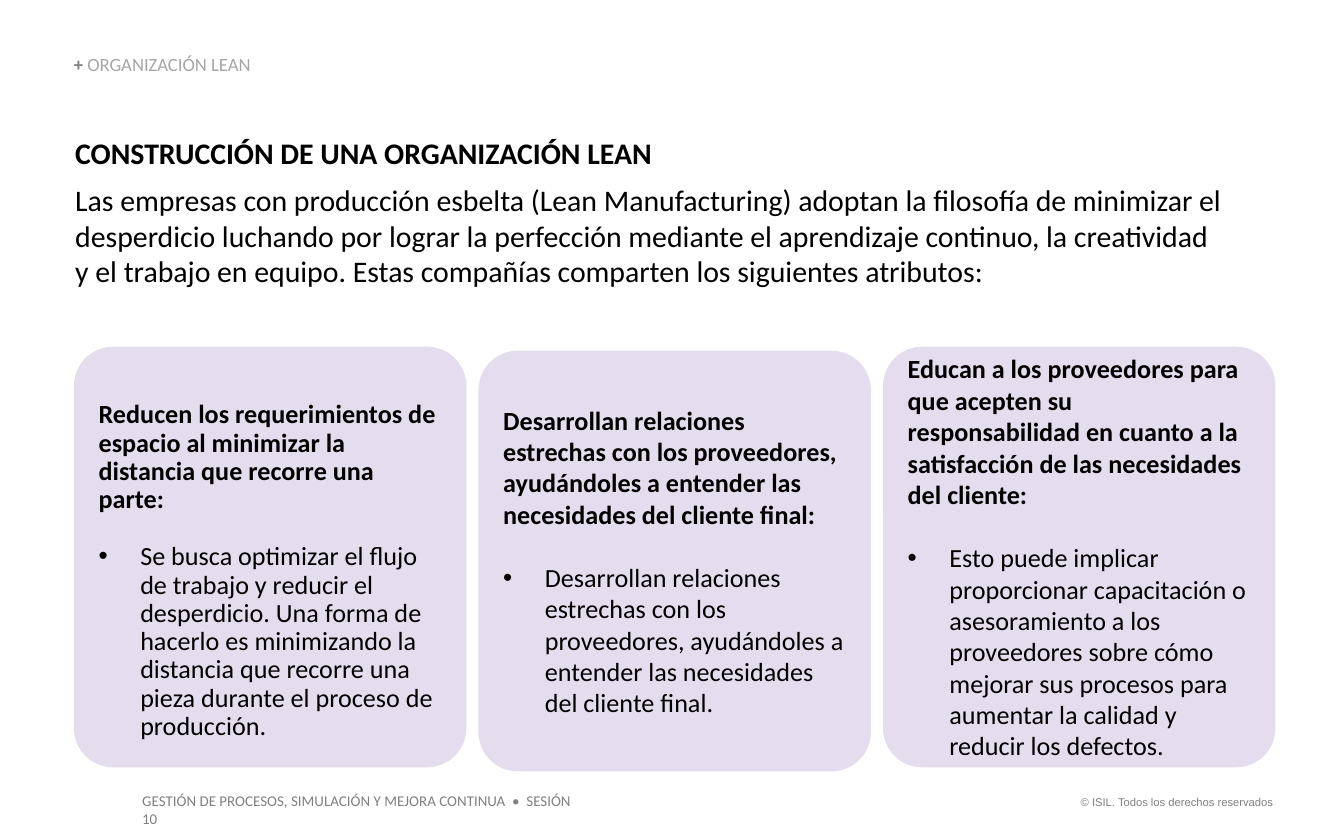
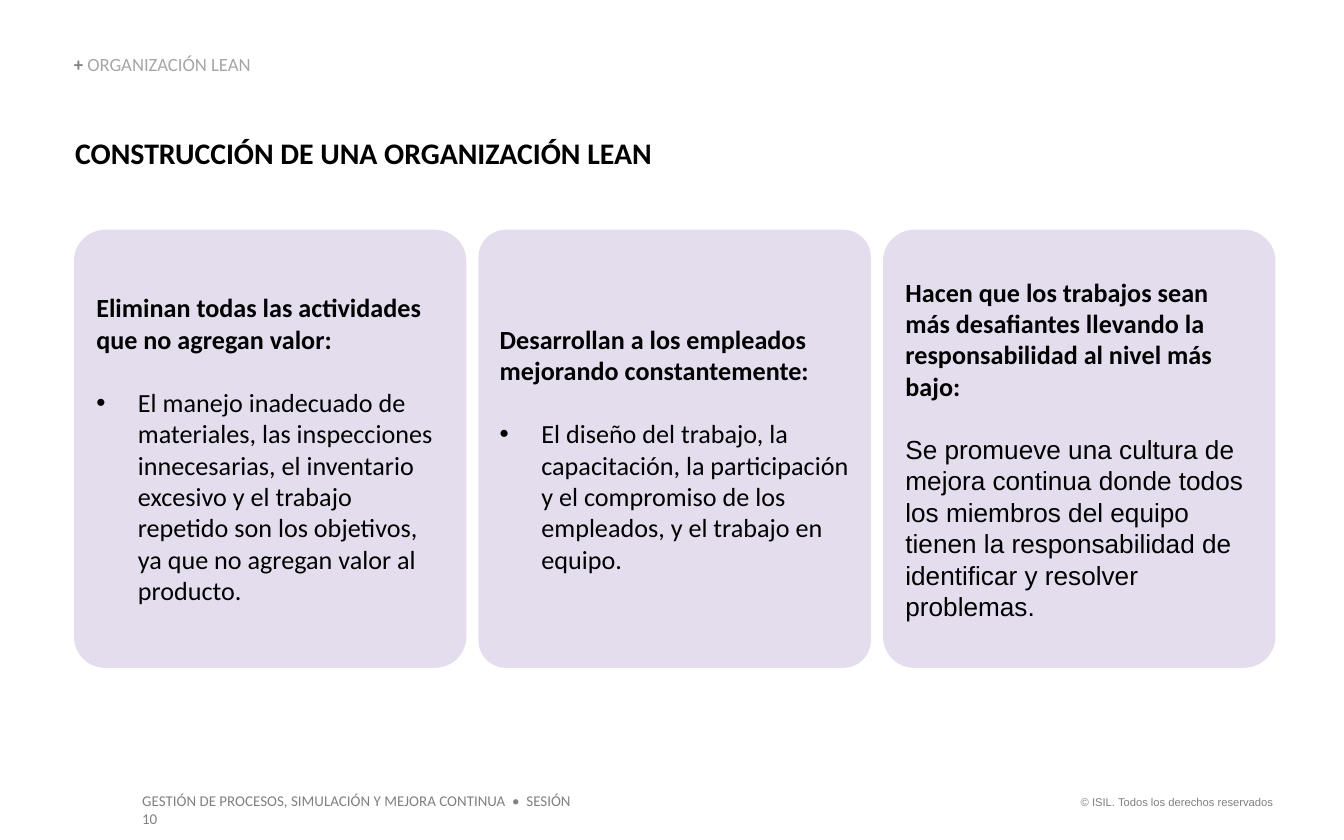
from dataclasses import dataclass

from lxml import etree
from pptx import Presentation
from pptx.dml.color import RGBColor
from pptx.enum.shapes import MSO_SHAPE
from pptx.enum.text import MSO_ANCHOR, MSO_AUTO_SIZE, PP_ALIGN
from pptx.oxml.ns import qn
from pptx.util import Inches, Pt


@dataclass(frozen=True)
class Theme:
    font: str = "Calibri"
    alt_font: str = "Arial"
    ink: str = "000000"
    muted: str = "808080"
    pale: str = "A6A6A6"
    card: str = "E4DDED"
    heading_size: int = 16
    card_size: int = 14
    section_size: int = 10
    footer_size: int = 8
    copyright_size: int = 6


THEME = Theme()

SECTION_BOX = (0.55, 0.41, 2.66, 0.15)
FOOTER_BOX = (0.96, 5.84, 3.53, 0.24)
COPYRIGHT_BOX = (7.88, 5.87, 1.69, 0.2)
CARD_LEFT, CARD_WIDTH, CARD_GAP = 0.55, 2.92, 0.09
BULLET_INDENT = 0.31
LINE_HEIGHT = 1.22


@dataclass(frozen=True)
class Card:
    attribute: str
    detail: str
    corner: float
    drop: float = 0
    line_spacing: float = 1.0
    extra_top: float = 0
    bulleted: bool = True
    detail_font: str = THEME.font


HEADING = "CONSTRUCCIÓN DE UNA ORGANIZACIÓN LEAN"
INTRO = (
    "Las empresas con producción esbelta (Lean Manufacturing) adoptan la filosofía de minimizar el "
    "desperdicio luchando por lograr la perfección mediante el aprendizaje continuo, la creatividad "
    "y el trabajo en equipo. Estas compañías comparten los siguientes atributos:"
)
SUPPLIER_CARDS = [
    Card(
        "Reducen los requerimientos de espacio al minimizar la distancia que recorre una parte:",
        "Se busca optimizar el flujo de trabajo y reducir el desperdicio. Una forma de hacerlo es "
        "minimizando la distancia que recorre una pieza durante el proceso de producción.",
        corner=0.1, line_spacing=0.9, extra_top=0.21,
    ),
    Card(
        "Desarrollan relaciones estrechas con los proveedores, ayudándoles a entender las "
        "necesidades del cliente final:",
        "Desarrollan relaciones estrechas con los proveedores, ayudándoles a entender las "
        "necesidades del cliente final.",
        corner=0.1, drop=0.03,
    ),
    Card(
        "Educan a los proveedores para que acepten su responsabilidad en cuanto a la satisfacción "
        "de las necesidades del cliente:",
        "Esto puede implicar proporcionar capacitación o asesoramiento a los proveedores sobre cómo "
        "mejorar sus procesos para aumentar la calidad y reducir los defectos.",
        corner=0.1,
    ),
]
EMPLOYEE_CARDS = [
    Card(
        "Eliminan todas las actividades que no agregan valor:",
        "El manejo inadecuado de materiales, las inspecciones innecesarias, el inventario excesivo y "
        "el trabajo repetido son los objetivos, ya que no agregan valor al producto.",
        corner=0.08,
    ),
    Card(
        "Desarrollan a los empleados mejorando constantemente:",
        "El diseño del trabajo, la capacitación, la participación y el compromiso de los empleados, "
        "y el trabajo en equipo.",
        corner=0.07,
    ),
    Card(
        "Hacen que los trabajos sean más desafiantes llevando la responsabilidad al nivel más bajo:",
        "Se promueve una cultura de mejora continua donde todos los miembros del equipo tienen la "
        "responsabilidad de identificar y resolver problemas.",
        corner=0.08, bulleted=False, detail_font=THEME.alt_font,
    ),
]


def add_run(paragraph, text, size, color=THEME.ink, bold=False, font=THEME.font):
    run = paragraph.add_run()
    run.text = text
    run.font.name = font
    run.font.size = Pt(size)
    run.font.bold = bold
    run.font.color.rgb = RGBColor.from_string(color)


def add_text_frame(slide, box, inset=True):
    frame = slide.shapes.add_textbox(*map(Inches, box)).text_frame
    frame.word_wrap = True
    frame.auto_size = MSO_AUTO_SIZE.SHAPE_TO_FIT_TEXT
    if not inset:
        frame.margin_left = frame.margin_right = frame.margin_top = frame.margin_bottom = 0
    return frame


def add_bullet(paragraph):
    properties = paragraph._p.get_or_add_pPr()
    properties.set("marL", str(Inches(BULLET_INDENT)))
    properties.set("indent", str(-Inches(BULLET_INDENT)))
    etree.SubElement(properties, qn("a:buFont")).set("typeface", THEME.alt_font)
    etree.SubElement(properties, qn("a:buChar")).set("char", "•")


def add_footer(slide):
    copyright_line = add_text_frame(slide, COPYRIGHT_BOX).paragraphs[0]
    copyright_line.alignment = PP_ALIGN.RIGHT
    add_run(copyright_line, "© ISIL. Todos los derechos reservados",
            THEME.copyright_size, THEME.muted, font=THEME.alt_font)
    course = add_text_frame(slide, FOOTER_BOX).paragraphs[0]
    add_run(course, "GESTIÓN DE PROCESOS, SIMULACIÓN Y MEJORA CONTINUA  •  SESIÓN 10",
            THEME.footer_size, THEME.muted)


def add_section_label(slide):
    frame = add_text_frame(slide, SECTION_BOX, inset=False)
    frame.vertical_anchor = MSO_ANCHOR.BOTTOM
    label = frame.paragraphs[0]
    label.line_spacing = 0.9
    add_run(label, "+ ", THEME.section_size, THEME.muted, bold=True)
    add_run(label, "ORGANIZACIÓN LEAN", THEME.section_size, THEME.pale)


def add_heading(slide, box, intro=None):
    frame = add_text_frame(slide, box, inset=False)
    heading = frame.paragraphs[0]
    heading.space_after = Pt(6)
    add_run(heading, HEADING, THEME.heading_size, bold=True)
    if intro:
        add_run(frame.add_paragraph(), intro, THEME.heading_size)


def add_card(slide, box, card):
    panel = slide.shapes.add_shape(MSO_SHAPE.ROUNDED_RECTANGLE, *map(Inches, box))
    panel.adjustments[0] = card.corner
    panel.shadow.inherit = False
    panel.fill.solid()
    panel.fill.fore_color.rgb = RGBColor.from_string(THEME.card)
    panel.line.fill.background()

    frame = panel.text_frame
    frame.word_wrap = True
    frame.vertical_anchor = MSO_ANCHOR.MIDDLE
    frame.margin_top = Inches(0.05 + card.extra_top)
    attribute, detail = frame.paragraphs[0], frame.add_paragraph()
    for paragraph in (attribute, detail):
        paragraph.alignment = PP_ALIGN.LEFT
        paragraph.line_spacing = card.line_spacing
    detail.space_before = Pt(round(THEME.card_size * LINE_HEIGHT * card.line_spacing, 1))
    if card.bulleted:
        add_bullet(detail)
    add_run(attribute, card.attribute, THEME.card_size, bold=True)
    add_run(detail, card.detail, THEME.card_size, font=card.detail_font)


def add_card_row(slide, top, height, cards):
    for column, card in enumerate(cards):
        left = CARD_LEFT + column * (CARD_WIDTH + CARD_GAP)
        add_card(slide, (left, top + card.drop, CARD_WIDTH, height), card)


def add_attributes_slide(deck, heading_height, cards_top, cards_height, cards, intro=None):
    slide = deck.slides.add_slide(deck.slide_layouts[6])
    add_footer(slide)
    add_heading(slide, (0.56, 1, 8.58, heading_height), intro)
    add_section_label(slide)
    add_card_row(slide, cards_top, cards_height, cards)


def main():
    deck = Presentation()
    deck.slide_width, deck.slide_height = Inches(10), Inches(6.25)
    add_attributes_slide(deck, 1.16, 2.58, 3.13, SUPPLIER_CARDS, INTRO)
    add_attributes_slide(deck, 0.27, 1.71, 3.26, EMPLOYEE_CARDS)
    deck.save("out.pptx")


if __name__ == "__main__":
    main()
